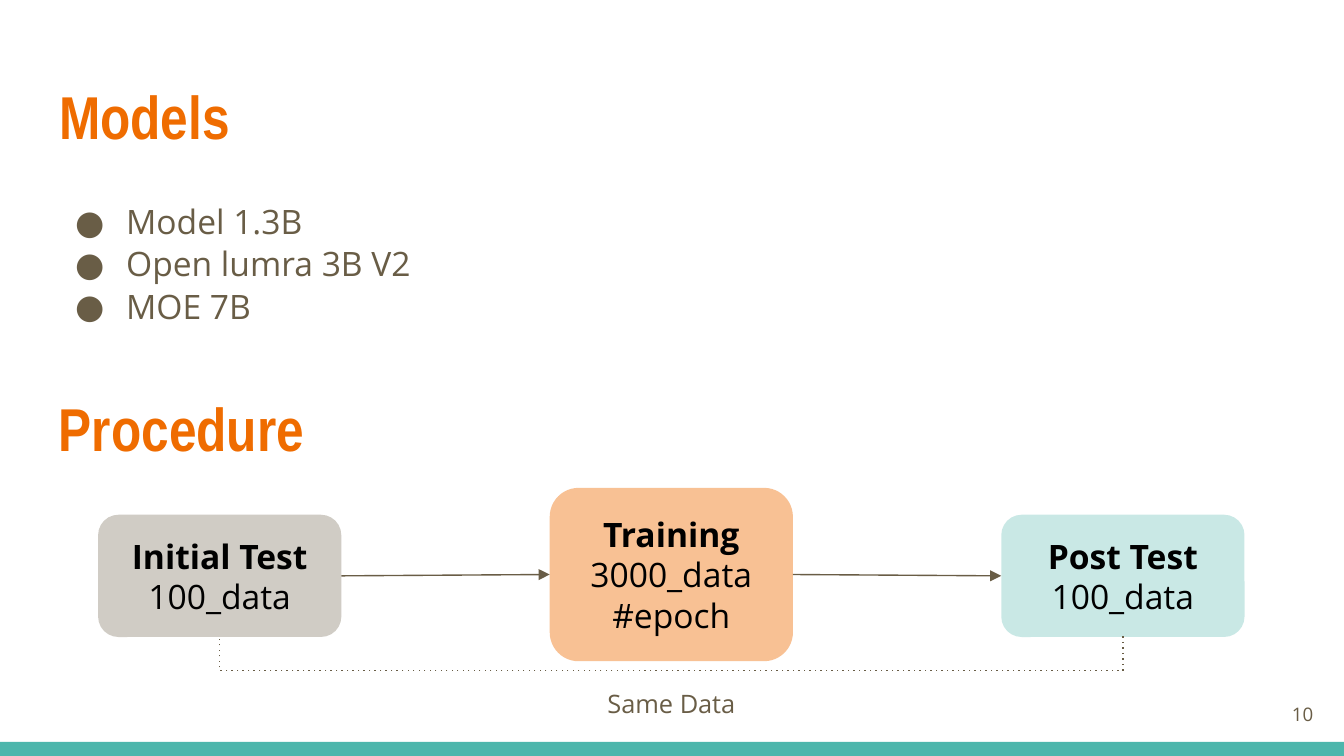
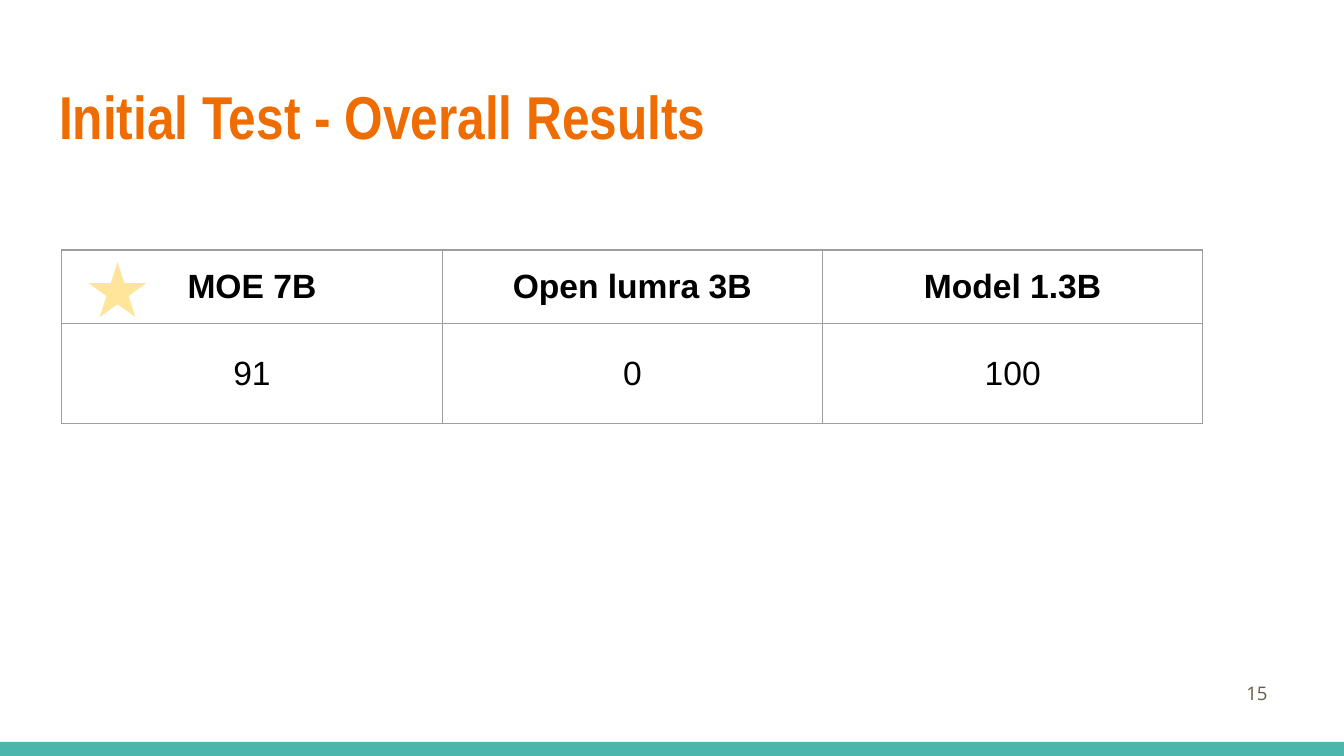
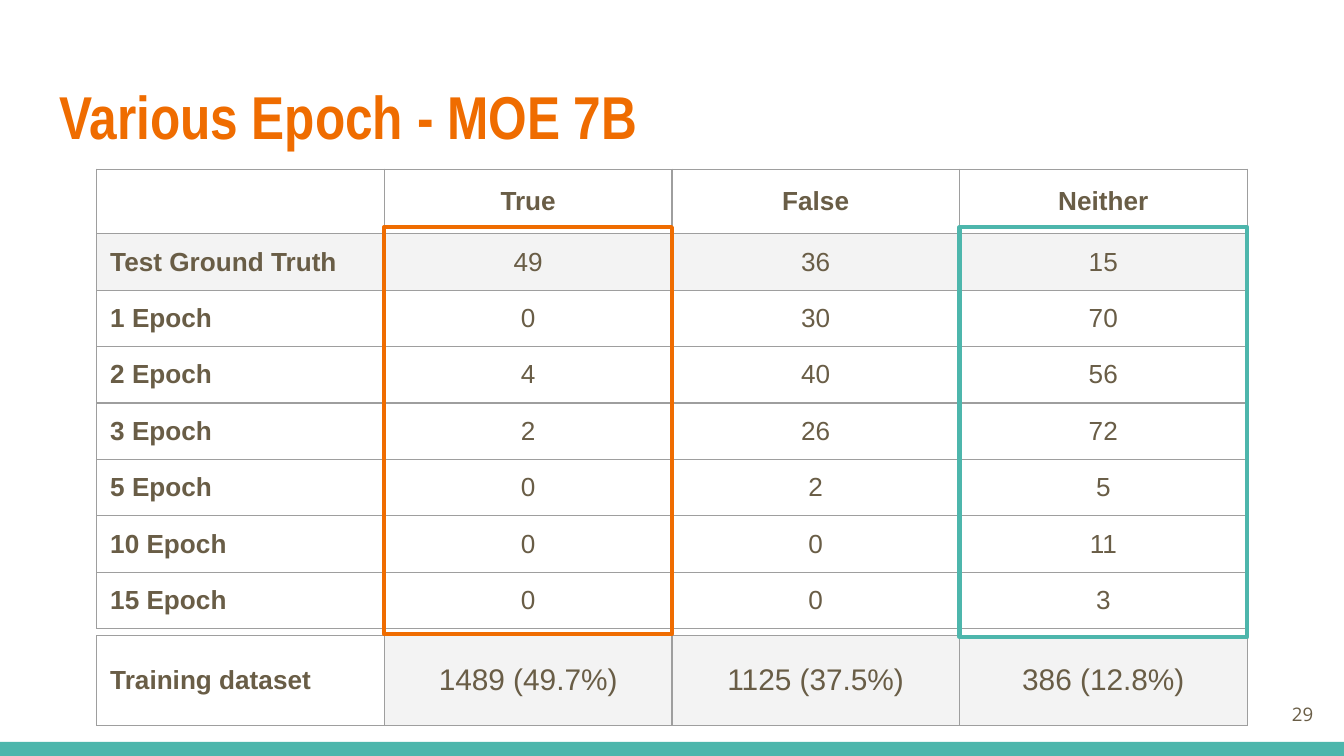
"""Build three slides on language model training: procedure, first results and epochs."""
from dataclasses import dataclass
from itertools import pairwise

from lxml.etree import SubElement
from pptx import Presentation
from pptx.dml.color import RGBColor
from pptx.enum.shapes import MSO_CONNECTOR, MSO_SHAPE
from pptx.enum.text import MSO_ANCHOR, MSO_AUTO_SIZE, PP_ALIGN
from pptx.oxml.ns import qn
from pptx.util import Inches, Pt

ORANGE, TEAL, BROWN = "EF6C00", "4DB6AC", "695D46"
BLACK, WHITE, GRAY, PALE, YELLOW = "000000", "FFFFFF", "9E9E9E", "F3F3F3", "FFE599"
TITLE_FONT, BODY_FONT, TABLE_FONT = "Arial Narrow", "Open Sans", "Arial"
INSET = 0.1
TOP, LEFT, BOTTOM, RIGHT = range(4)


@dataclass(frozen=True)
class Box:
    left: float
    top: float
    width: float
    height: float

    def lengths(self):
        return [Inches(value) for value in (self.left, self.top, self.width, self.height)]


@dataclass(frozen=True)
class TextStyle:
    size: float
    font: str = BODY_FONT
    color: str = BROWN
    bold: bool = False
    align: PP_ALIGN = PP_ALIGN.LEFT


@dataclass(frozen=True)
class Step:
    lines: tuple[str, ...]
    top: float
    height: float
    color: str
    opacity: int


@dataclass(frozen=True)
class Grid:
    left: float
    top: float
    column_width: float
    row_heights: list[float]
    rows: list[list[str]]
    size: float
    value_size: float
    color: str
    has_header: bool = True
    has_labels: bool = True
    shaded: tuple[tuple[int, int], ...] = ()


TITLE_STYLE = TextStyle(32.4, TITLE_FONT, ORANGE, bold=True)
TITLE_BOX = Box(0.34, 0.49, 9.32, 0.77)
BAND_BOX = Box(0, 5.52, 10, 0.11)
CORNER_NUMBER_BOX = Box(9.27, 5.1, 0.6, 0.43)

STEP_LEFT, STEP_PITCH, STEP_WIDTH = 0.73, 3.36, 1.81
STEPS = [
    Step(("Initial Test", "100_data"), 3.83, 0.91, BROWN, 31),
    Step(("Training", "3000_data", "#epoch"), 3.63, 1.29, ORANGE, 42),
    Step(("Post Test", "100_data"), 3.83, 0.91, TEAL, 30),
]

OVERALL = Grid(
    0.46, 1.86, 2.83, [0.55, 0.74],
    [["MOE 7B", "Open lumra 3B", "Model 1.3B"], ["91", "0", "100"]],
    18, 18, BLACK, has_labels=False,
)
EPOCHS = Grid(
    0.72, 1.26, 2.14, [0.48] + [0.42] * 7,
    [
        ["", "True", "False", "Neither"],
        ["Test Ground Truth", "49", "36", "15"],
        ["1 Epoch", "0", "30", "70"],
        ["2 Epoch", "4", "40", "56"],
        ["3 Epoch", "2", "26", "72"],
        ["5 Epoch", "0", "2", "5"],
        ["10 Epoch", "0", "0", "11"],
        ["15 Epoch", "0", "0", "3"],
    ],
    14, 14, BROWN, shaded=tuple((1, column) for column in range(4)),
)
TRAINING = Grid(
    0.72, 4.73, 2.14, [0.67],
    [["Training dataset", "1489 (49.7%)", "1125 (37.5%)", "386 (12.8%)"]],
    14, 16, BROWN, has_header=False, shaded=((0, 1), (0, 2), (0, 3)),
)


def rgb(color: str) -> RGBColor:
    return RGBColor.from_string(color)


def style_paragraph(paragraph, style: TextStyle) -> None:
    paragraph.alignment = style.align
    for run in paragraph.runs:
        run.font.name = style.font
        run.font.size = Pt(style.size)
        run.font.bold = style.bold
        run.font.color.rgb = rgb(style.color)


def write(shape, lines: tuple[str, ...], style: TextStyle, anchor=MSO_ANCHOR.TOP):
    frame = shape.text_frame
    frame.text = "\n".join(lines)
    frame.word_wrap = True
    frame.auto_size = MSO_AUTO_SIZE.NONE
    frame.vertical_anchor = anchor
    frame.margin_left = frame.margin_right = Inches(INSET)
    frame.margin_top = frame.margin_bottom = Inches(INSET)
    for paragraph in frame.paragraphs:
        style_paragraph(paragraph, style)
    return frame


def add_text(slide, box: Box, lines: tuple[str, ...], style: TextStyle, anchor=MSO_ANCHOR.TOP):
    return write(slide.shapes.add_textbox(*box.lengths()), lines, style, anchor)


def add_filled(slide, kind: MSO_SHAPE, box: Box, color: str, opacity: int = 100):
    shape = slide.shapes.add_shape(kind, *box.lengths())
    shape.shadow.inherit = False
    shape.line.fill.background()
    shape.fill.solid()
    shape.fill.fore_color.rgb = rgb(color)
    if opacity < 100:
        color_element = shape._element.spPr.find(qn("a:solidFill"))[0]
        SubElement(color_element, qn("a:alpha"), val=str(opacity * 1000))
    return shape


def add_outline(slide, box: Box, color: str) -> None:
    shape = slide.shapes.add_shape(MSO_SHAPE.RECTANGLE, *box.lengths())
    shape.shadow.inherit = False
    shape.fill.background()
    shape.line.color.rgb = rgb(color)
    shape.line.width = Pt(2.25)


def add_link(slide, kind: MSO_CONNECTOR, start, start_side: int, end, end_side: int):
    connector = slide.shapes.add_connector(kind, 0, 0, 0, 0)
    connector.begin_connect(start, start_side)
    connector.end_connect(end, end_side)
    connector.line.color.rgb = rgb(BROWN)
    connector.line.width = Pt(0.75)
    SubElement(connector._element.spPr, qn("a:effectLst"))
    return connector


def add_arrow(slide, start, end) -> None:
    connector = add_link(slide, MSO_CONNECTOR.STRAIGHT, start, RIGHT, end, LEFT)
    line = connector._element.spPr.find(qn("a:ln"))
    SubElement(line, qn("a:tailEnd"), type="triangle")


def add_loop(slide, start, end, drop: float) -> None:
    connector = add_link(slide, MSO_CONNECTOR.ELBOW, start, BOTTOM, end, BOTTOM)
    thickness, span = 0.01, end.left - start.left
    center = start.left + start.width // 2 + span // 2
    connector.width, connector.height = Inches(thickness), span
    connector.left = center - Inches(thickness / 2)
    connector.top = start.top + start.height - span // 2
    properties = connector._element.spPr
    SubElement(properties.find(qn("a:ln")), qn("a:prstDash"), val="dot")
    transform = properties.find(qn("a:xfrm"))
    transform.set("rot", "16200000")
    transform.set("flipH", "1")
    adjustments = properties.find(qn("a:prstGeom")).find(qn("a:avLst"))
    ratio = round(drop / thickness * 100000)
    SubElement(adjustments, qn("a:gd"), name="adj1", fmla=f"val {ratio}")


def add_bullets(frame) -> None:
    for paragraph in frame.paragraphs:
        paragraph.line_spacing = 1.05
        properties = paragraph._p.get_or_add_pPr()
        properties.set("marL", str(Inches(0.5)))
        properties.set("indent", str(Inches(-0.38)))
        bullet_color = SubElement(properties, qn("a:buClr"))
        SubElement(bullet_color, qn("a:srgbClr"), val=BROWN)
        SubElement(properties, qn("a:buFont"), typeface=BODY_FONT)
        SubElement(properties, qn("a:buChar"), char="●")


def add_borders(cell) -> None:
    properties = cell._tc.get_or_add_tcPr()
    for side in ("lnL", "lnR", "lnT", "lnB"):
        line = SubElement(properties, qn(f"a:{side}"), w=str(Pt(0.75)))
        fill = SubElement(line, qn("a:solidFill"))
        SubElement(fill, qn("a:srgbClr"), val=GRAY)


def add_grid(slide, grid: Grid) -> None:
    count = len(grid.rows[0])
    box = Box(grid.left, grid.top, grid.column_width * count, sum(grid.row_heights))
    table = slide.shapes.add_table(len(grid.rows), count, *box.lengths()).table
    table.first_row = table.horz_banding = False
    for column in table.columns:
        column.width = Inches(grid.column_width)
    for row_index, (height, texts) in enumerate(zip(grid.row_heights, grid.rows)):
        table.rows[row_index].height = Inches(height)
        for column_index, text in enumerate(texts):
            is_header = grid.has_header and row_index == 0
            is_label = grid.has_labels and column_index == 0
            cell = table.cell(row_index, column_index)
            cell.text_frame.text = text
            cell.vertical_anchor = MSO_ANCHOR.MIDDLE
            cell.margin_left = cell.margin_right = Inches(INSET)
            cell.margin_top = cell.margin_bottom = Inches(INSET if text else 0)
            style_paragraph(cell.text_frame.paragraphs[0], TextStyle(
                grid.size if is_header or is_label else grid.value_size,
                TABLE_FONT, grid.color, is_header or is_label,
                PP_ALIGN.LEFT if is_label else PP_ALIGN.CENTER,
            ))
            add_borders(cell)
            if (row_index, column_index) in grid.shaded:
                cell.fill.solid()
                cell.fill.fore_color.rgb = rgb(PALE)
            else:
                cell.fill.background()


def add_slide(presentation, title: str, number: int, number_box: Box = CORNER_NUMBER_BOX):
    slide = presentation.slides.add_slide(presentation.slide_layouts[5])
    slide.background.fill.solid()
    slide.background.fill.fore_color.rgb = rgb(WHITE)
    add_filled(slide, MSO_SHAPE.RECTANGLE, BAND_BOX, TEAL)
    heading = slide.shapes.title
    heading.left, heading.top, heading.width, heading.height = TITLE_BOX.lengths()
    write(heading, (title,), TITLE_STYLE)
    number_style = TextStyle(10, align=PP_ALIGN.RIGHT)
    add_text(slide, number_box, (str(number),), number_style, MSO_ANCHOR.MIDDLE)
    return slide


def add_step(slide, index: int, step: Step):
    box = Box(STEP_LEFT + index * STEP_PITCH, step.top, STEP_WIDTH, step.height)
    shape = add_filled(slide, MSO_SHAPE.ROUNDED_RECTANGLE, box, step.color, step.opacity)
    style = TextStyle(18, color=BLACK, align=PP_ALIGN.CENTER)
    frame = write(shape, step.lines, style, MSO_ANCHOR.MIDDLE)
    frame.paragraphs[0].runs[0].font.bold = True
    return shape


def build_models(presentation) -> None:
    slide = add_slide(presentation, "Models", 10)
    models = ("Model 1.3B", "Open lumra 3B V2", "MOE 7B")
    add_bullets(add_text(slide, Box(0.34, 1.38, 9.32, 1.18), models, TextStyle(18)))
    add_text(slide, Box(0.34, 2.81, 9.32, 0.77), ("Procedure",), TITLE_STYLE)
    steps = [add_step(slide, index, step) for index, step in enumerate(STEPS)]
    for start, end in pairwise(steps):
        add_arrow(slide, start, end)
    add_loop(slide, steps[0], steps[-1], 0.26)
    caption_style = TextStyle(13.6, align=PP_ALIGN.CENTER)
    caption = add_text(slide, Box(4.09, 4.99, 1.81, 0.43), ("Same Data",), caption_style)
    caption.paragraphs[0].line_spacing = 1.15
    caption.paragraphs[0].space_after = Pt(12)


def build_overall_results(presentation) -> None:
    number_box = Box(8.96, 4.95, 0.57, 0.41)
    slide = add_slide(presentation, "Initial Test - Overall Results", 15, number_box)
    add_grid(slide, OVERALL)
    add_filled(slide, MSO_SHAPE.STAR_5_POINT, Box(0.66, 1.95, 0.43, 0.41), YELLOW)


def build_epochs(presentation) -> None:
    slide = add_slide(presentation, "Various Epoch - MOE 7B", 29)
    add_grid(slide, EPOCHS)
    add_grid(slide, TRAINING)
    for column, height, color in ((1, 3.03, ORANGE), (3, 3.05, TEAL)):
        left = EPOCHS.left + column * EPOCHS.column_width
        add_outline(slide, Box(left, 1.69, EPOCHS.column_width, height), color)


def main() -> None:
    presentation = Presentation()
    presentation.slide_width = Inches(10)
    presentation.slide_height = Inches(10) * 9 // 16
    build_models(presentation)
    build_overall_results(presentation)
    build_epochs(presentation)
    presentation.save("out.pptx")


if __name__ == "__main__":
    main()
